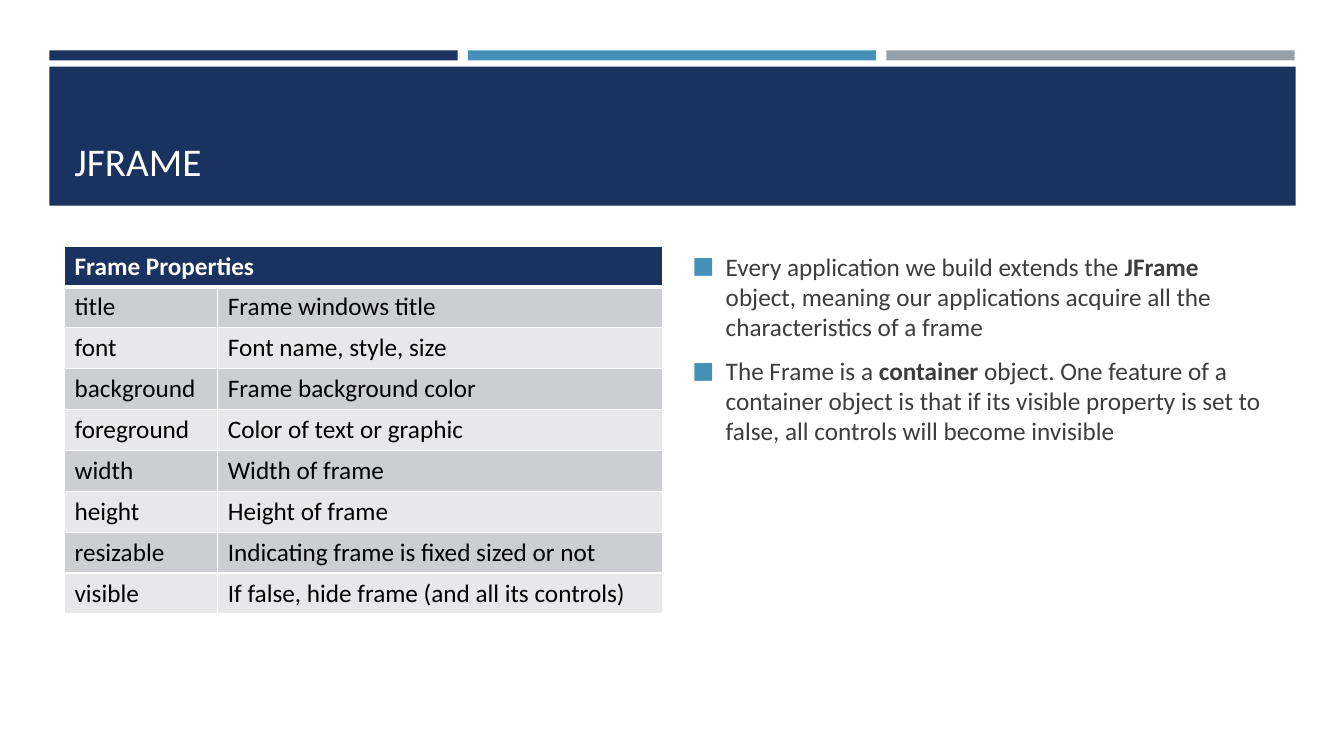
"""Builds the JFrame slide: title band, property table and two bullet points."""
from lxml.etree import SubElement
from pptx import Presentation
from pptx.dml.color import RGBColor
from pptx.enum.shapes import MSO_SHAPE
from pptx.enum.text import MSO_ANCHOR
from pptx.oxml.ns import qn
from pptx.util import Inches, Pt

COLORS = {
    "navy": "1A3260", "blue": "4590B8", "gray": "969FA7", "white": "FFFFFF",
    "black": "000000", "text": "3D3D3D", "dark_row": "CDCED2", "light_row": "E8E8EA",
}
FRAME_PROPERTIES = [
    ("title", "Frame windows title"),
    ("font", "Font name, style, size"),
    ("background", "Frame background color"),
    ("foreground", "Color of text or graphic"),
    ("width", "Width of frame"),
    ("height", "Height of frame"),
    ("resizable", "Indicating frame is fixed sized or not"),
    ("visible", "If false, hide frame (and all its controls)"),
]
BULLETS = [
    ("Every application we build extends the ", "JFrame",
     " object, meaning our applications acquire all the characteristics of a frame"),
    ("The Frame is a ", "container",
     " object. One feature of a container object is that if its visible property "
     "is set to false, all controls will become invisible"),
]


def style_font(font, size, color, bold=False):
    font.name = "Calibri"
    font.size = Pt(size)
    font.bold = bold
    font.color.rgb = RGBColor.from_string(COLORS[color])


def add_border(cell, side, width):
    line = SubElement(cell._tc.get_or_add_tcPr(), qn(f"a:{side}"), w=str(Pt(width)))
    fill = SubElement(line, qn("a:solidFill"))
    SubElement(fill, qn("a:srgbClr"), val=COLORS["white"])


deck = Presentation()
deck.slide_width, deck.slide_height = Inches(13.33), Inches(7.5)
page = deck.slides.add_slide(deck.slide_layouts[6])

bands = [(0.49 + 4.15 * index, 0.5, 4.05, 0.1, color)
         for index, color in enumerate(("navy", "blue", "gray"))]
bands.append((0.49, 0.66, 12.36, 1.38, "navy"))
for left, top, width, height, color in bands:
    band = page.shapes.add_shape(MSO_SHAPE.RECTANGLE, Inches(left), Inches(top),
                                 Inches(width), Inches(height))
    band.shadow.inherit = False
    band.fill.solid()
    band.fill.fore_color.rgb = RGBColor.from_string(COLORS[color])
    band.line.fill.background()

title_box = page.shapes.add_textbox(Inches(0.64), Inches(0.8), Inches(12.06), Inches(1.08))
title_box.text_frame.word_wrap = True
title_box.text_frame.vertical_anchor = MSO_ANCHOR.BOTTOM
title_box.text_frame.text = "JFRAME"
style_font(title_box.text_frame.paragraphs[0].runs[0].font, 28, "white")

body_box = page.shapes.add_textbox(Inches(6.77), Inches(2.44), Inches(5.93), Inches(3.97))
body = body_box.text_frame
body.word_wrap = True
for index, parts in enumerate(BULLETS):
    para = body.add_paragraph() if index else body.paragraphs[0]
    para.space_before = Pt(3.6 if index else 0)
    para.space_after = Pt(6)
    properties = para._p.get_or_add_pPr()
    properties.set("marL", str(Inches(0.33)))
    properties.set("indent", str(Inches(-0.33)))
    bullet_color = SubElement(properties, qn("a:buClr"))
    SubElement(bullet_color, qn("a:srgbClr"), val=COLORS["blue"])
    SubElement(properties, qn("a:buSzPct"), val="92000")
    SubElement(properties, qn("a:buFont"), typeface="Calibri")
    SubElement(properties, qn("a:buChar"), char="■")
    for position, part in enumerate(parts):
        span = para.add_run()
        span.text = part
        style_font(span.font, 18, "text", bold=position == 1)

rows = [("Frame Properties", "")] + FRAME_PROPERTIES
table = page.shapes.add_table(len(rows), 2, Inches(0.64), Inches(2.44),
                              Inches(5.93), Inches(3.65)).table
table.horz_banding = False
table.columns[0].width, table.columns[1].width = Inches(1.52), Inches(4.41)
table.cell(0, 0).merge(table.cell(0, 1))
for row_index, labels in enumerate(rows):
    header = row_index == 0
    row_color = "navy" if header else "dark_row" if row_index % 2 else "light_row"
    for column_index, label in enumerate(labels):
        cell = table.cell(row_index, column_index)
        for side in ("lnL", "lnR", "lnT", "lnB"):
            thick = (row_index, side) in ((0, "lnB"), (1, "lnT"))
            add_border(cell, side, 3 if thick else 1)
        cell.fill.solid()
        cell.fill.fore_color.rgb = RGBColor.from_string(COLORS[row_color])
        if label:
            cell.text_frame.text = label
            style_font(cell.text_frame.paragraphs[0].runs[0].font, 18,
                       "white" if header else "black", bold=header)

deck.save("out.pptx")
